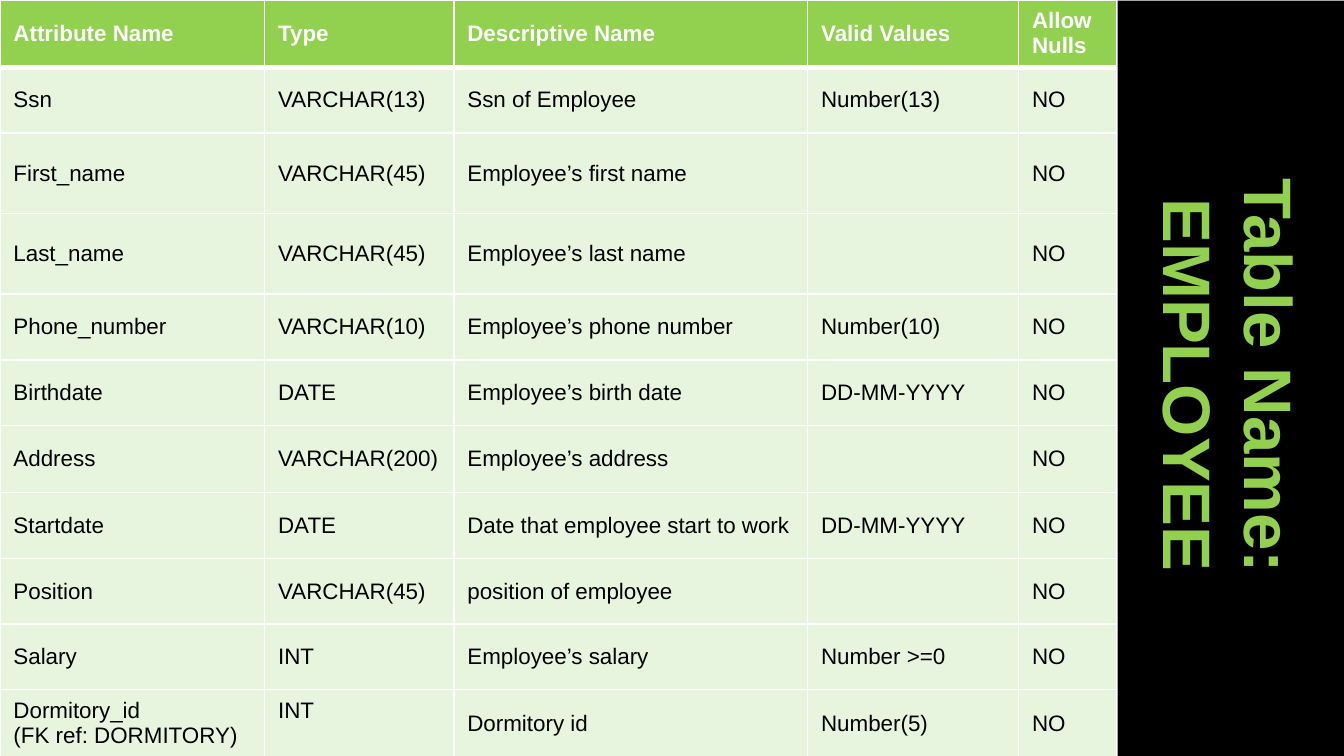
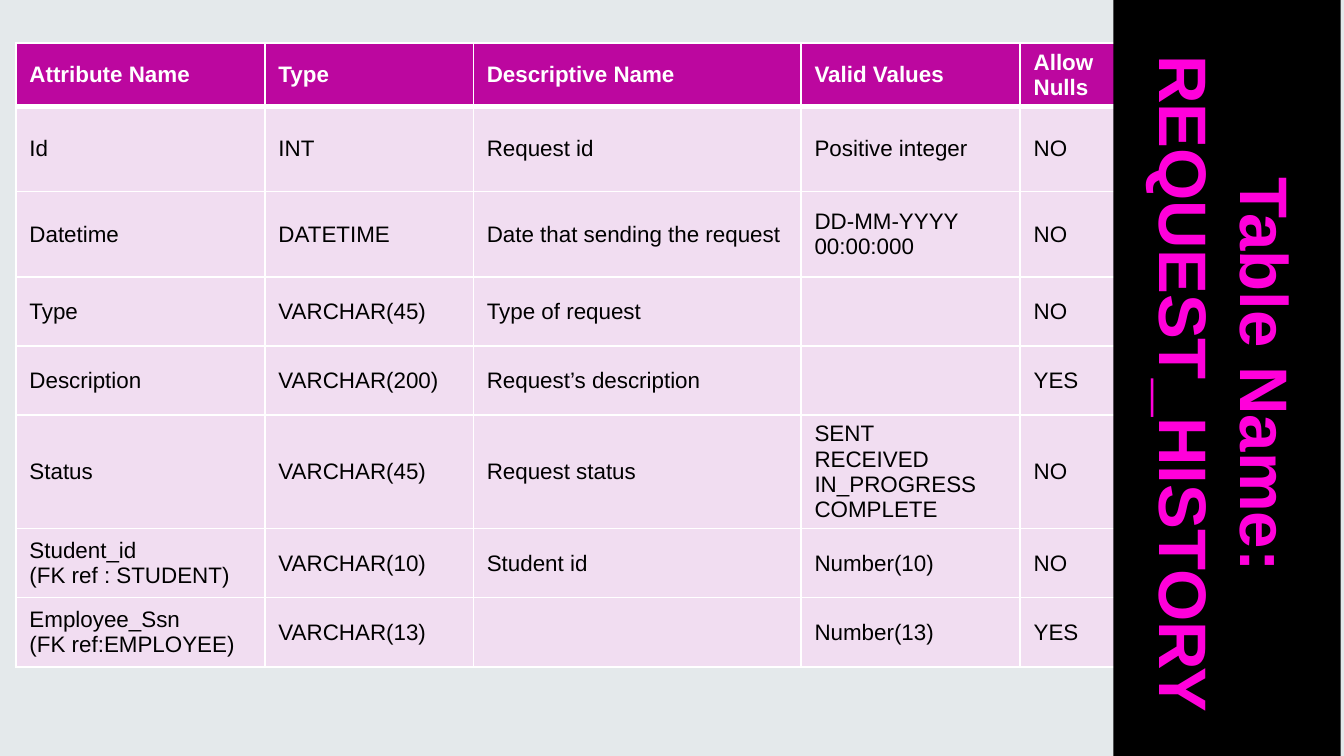
from dataclasses import dataclass
from typing import NamedTuple

from lxml import etree
from pptx import Presentation
from pptx.dml.color import RGBColor
from pptx.enum import shapes, text
from pptx.oxml import ns
from pptx.util import Pt

FONT = "Arial"
WHITE, BLACK = "FFFFFF", "000000"
CELL_SIZE, TITLE_SIZE = 12, 36
THIN, THICK = 1, 3
BAND_WIDTH, BAND_HEIGHT = 411.8, 121.7
HEADINGS = ("Attribute Name", "Type", "Descriptive Name", "Valid Values", "Allow Nulls")


class Attribute(NamedTuple):
    name: str
    type: str
    description: str
    valid_values: str = ""
    allow_nulls: str = "NO"


@dataclass
class EntityPage:
    entity: str
    background: str
    header_fill: str
    body_fill: str
    body_opacity: int
    title_color: str
    table_left: float
    table_top: float
    column_widths: list[float]
    row_heights: list[float]
    band_left: float
    band_top: float
    attributes: list[Attribute]


EMPLOYEE = EntityPage(
    entity="EMPLOYEE",
    background=WHITE,
    header_fill="92D050",
    body_fill="C3E8AD",
    body_opacity=40,
    title_color="92D050",
    table_left=0,
    table_top=0,
    column_widths=[141.8, 101.4, 189.5, 113, 52.8],
    row_heights=[36, 35.2, 43.2, 43.2, 35.2, 35.2, 36, 35.2, 35.2, 35.2, 36],
    band_left=453.6,
    band_top=145.4,
    attributes=[
        Attribute("Ssn", "VARCHAR(13)", "Ssn of Employee", "Number(13)"),
        Attribute("First_name", "VARCHAR(45)", "Employee’s first name"),
        Attribute("Last_name", "VARCHAR(45)", "Employee’s last name"),
        Attribute("Phone_number", "VARCHAR(10)", "Employee’s phone number", "Number(10)"),
        Attribute("Birthdate", "DATE", "Employee’s birth date", "DD-MM-YYYY"),
        Attribute("Address", "VARCHAR(200)", "Employee’s address"),
        Attribute("Startdate", "DATE", "Date that employee start to work", "DD-MM-YYYY"),
        Attribute("Position", "VARCHAR(45)", "position of employee"),
        Attribute("Salary", "INT", "Employee’s salary", "Number >=0"),
        Attribute("Dormitory_id\n(FK ref: DORMITORY)", "INT", "Dormitory id", "Number(5)"),
    ],
)

REQUEST_HISTORY = EntityPage(
    entity="REQUEST_HISTORY",
    background="E4E9EB",
    header_fill="BC079F",
    body_fill="FED3F8",
    body_opacity=50,
    title_color="FF00DA",
    table_left=8.6,
    table_top=23,
    column_widths=[133.4, 111.6, 175.6, 117.4, 50.4],
    row_heights=[34, 45.6, 45.6, 37, 37, 61, 37, 37],
    band_left=451.4,
    band_top=144.7,
    attributes=[
        Attribute("Id", "INT", "Request id", "Positive integer"),
        Attribute("Datetime", "DATETIME", "Date that sending the request", "DD-MM-YYYY 00:00:000"),
        Attribute("Type", "VARCHAR(45)", "Type of request"),
        Attribute("Description", "VARCHAR(200)", "Request’s description", allow_nulls="YES"),
        Attribute("Status", "VARCHAR(45)", "Request status",
                  "SENT\nRECEIVED IN_PROGRESS\nCOMPLETE"),
        Attribute("Student_id\n(FK ref : STUDENT)", "VARCHAR(10)", "Student id", "Number(10)"),
        Attribute("Employee_Ssn\n(FK ref:EMPLOYEE)", "VARCHAR(13)", "", "Number(13)", "YES"),
    ],
)


def rgb(value: str) -> RGBColor:
    return RGBColor.from_string(value)


def solid(fill, color: str, opacity: int = 100) -> None:
    fill.solid()
    fill.fore_color.rgb = rgb(color)
    if opacity < 100:
        for node in fill._xPr.iter(ns.qn("a:srgbClr")):
            etree.SubElement(node, ns.qn("a:alpha"), val=str(opacity * 1000))


def line_element(tag: str, width: float) -> etree._Element:
    """Return a white solid line, usable as a cell border or a text outline."""
    line = etree.Element(ns.qn(tag), w=str(Pt(width)))
    fill = etree.SubElement(line, ns.qn("a:solidFill"))
    etree.SubElement(fill, ns.qn("a:srgbClr"), val=WHITE)
    return line


def format_runs(frame, size: float, color: str, bold: bool) -> None:
    for paragraph in frame.paragraphs:
        for run in paragraph.runs:
            run.font.name = FONT
            run.font.size = Pt(size)
            run.font.bold = bold
            run.font.color.rgb = rgb(color)


def fill_cell(cell, words: str, row: int, page: EntityPage) -> None:
    is_header = row == 0
    cell.text_frame.text = words
    cell.vertical_anchor = text.MSO_ANCHOR.MIDDLE
    format_runs(cell.text_frame, CELL_SIZE, WHITE if is_header else BLACK, is_header)
    if is_header:
        solid(cell.fill, page.header_fill)
    else:
        solid(cell.fill, page.body_fill, page.body_opacity)
    top = THICK if row == 1 else THIN
    bottom = THICK if is_header else THIN
    borders = {"a:lnL": THIN, "a:lnR": THIN, "a:lnT": top, "a:lnB": bottom}
    properties = cell._tc.get_or_add_tcPr()
    for position, (tag, width) in enumerate(borders.items()):
        properties.insert(position, line_element(tag, width))


def add_attribute_table(slide, page: EntityPage):
    rows = [HEADINGS, *page.attributes]
    table = slide.shapes.add_table(
        len(rows), len(HEADINGS), Pt(page.table_left), Pt(page.table_top),
        Pt(sum(page.column_widths)), Pt(sum(page.row_heights))).table
    table.horz_banding = False
    for column, width in zip(table.columns, page.column_widths):
        column.width = Pt(width)
    for table_row, height in zip(table.rows, page.row_heights):
        table_row.height = Pt(height)
    for row, values in enumerate(rows):
        for column, words in enumerate(values):
            fill_cell(table.cell(row, column), words, row, page)
    return table


def add_title_band(slide, page: EntityPage) -> None:
    band = slide.shapes.add_shape(
        shapes.MSO_SHAPE.RECTANGLE, Pt(page.band_left), Pt(page.band_top),
        Pt(BAND_WIDTH), Pt(BAND_HEIGHT))
    band.rotation = 90
    band.shadow.inherit = False
    solid(band.fill, BLACK)
    band.line.fill.background()
    frame = band.text_frame
    frame.word_wrap = True
    frame.vertical_anchor = text.MSO_ANCHOR.MIDDLE
    frame.text = f"Table Name: \n{page.entity}"
    format_runs(frame, TITLE_SIZE, page.title_color, True)
    for paragraph in frame.paragraphs:
        paragraph.alignment = text.PP_ALIGN.CENTER
        for run in paragraph.runs:
            run._r.get_or_add_rPr().insert(0, line_element("a:ln", 0.75))


def add_page(deck, page: EntityPage):
    """Draw one entity page and return its table."""
    slide = deck.slides.add_slide(deck.slide_layouts[6])
    solid(slide.background.fill, page.background)
    table = add_attribute_table(slide, page)
    add_title_band(slide, page)
    return table


def main() -> None:
    deck = Presentation()
    deck.slide_width, deck.slide_height = Pt(720), Pt(405)
    employee_table = add_page(deck, EMPLOYEE)
    # The dormitory type lines up with the first line of its two-line name.
    employee_table.cell(len(EMPLOYEE.attributes), 1).margin_bottom = Pt(17.4)
    add_page(deck, REQUEST_HISTORY)
    deck.save("out.pptx")


if __name__ == "__main__":
    main()
